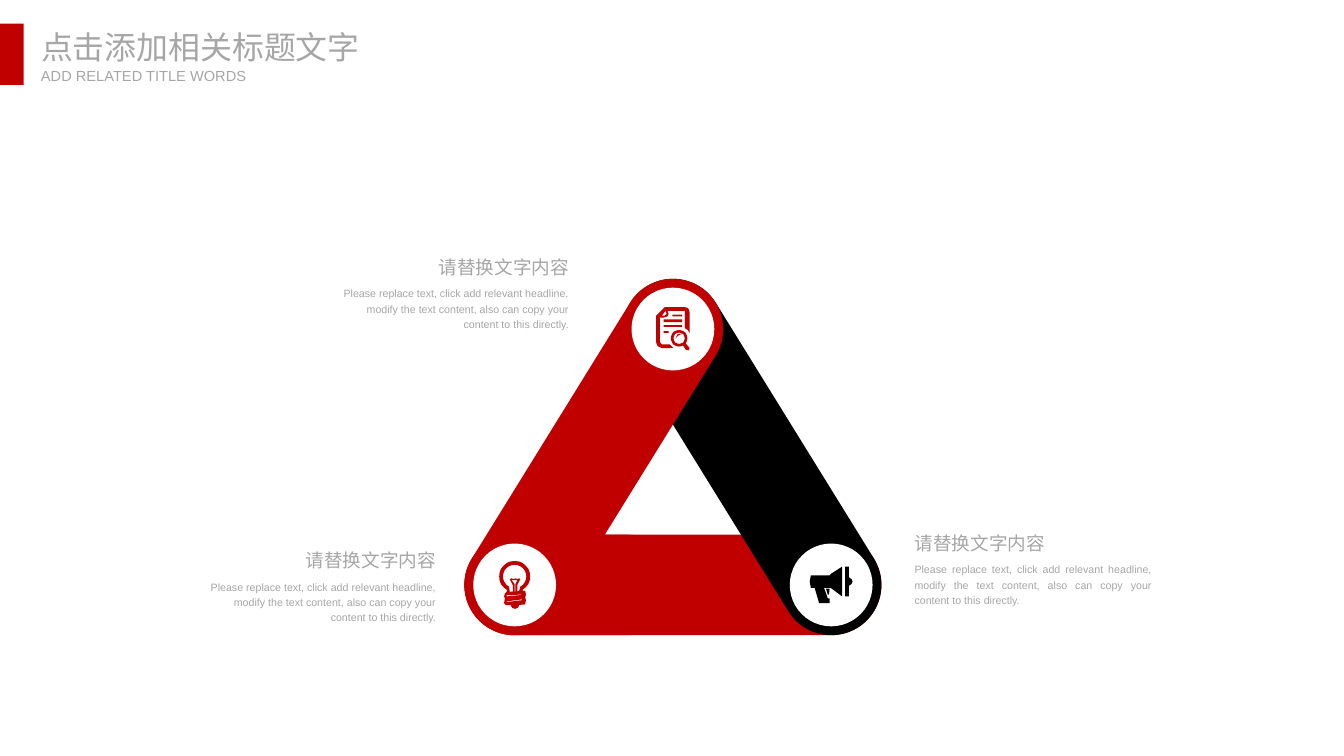
from math import atan2, cos, degrees, hypot, radians, sin

from lxml import etree
from pptx import Presentation
from pptx.dml.color import RGBColor
from pptx.enum.shapes import MSO_SHAPE
from pptx.enum.text import MSO_ANCHOR, MSO_AUTO_SIZE, PP_ALIGN
from pptx.oxml.ns import qn
from pptx.util import Cm, Pt

RECT, PILL, DISC = MSO_SHAPE.RECTANGLE, MSO_SHAPE.ROUNDED_RECTANGLE, MSO_SHAPE.OVAL
LEFT, RIGHT, EVEN = PP_ALIGN.LEFT, PP_ALIGN.RIGHT, PP_ALIGN.JUSTIFY
TOP, FIXED = MSO_ANCHOR.TOP, MSO_AUTO_SIZE.NONE

COLORS = {"red": "C00000", "black": "000000", "white": "FFFFFF", "grey": "A6A6A6"}
CJK = "Noto Sans CJK SC"
HEAD = "请替换文字内容"
BODY = ("Please replace text, click add relevant headline, modify the text "
        "content, also can copy your content to this directly.")
THICK, HOLE = 2.67, 2.2


def arc(x, y, r, start=0, end=345):
    return [(x + r * cos(radians(a)), y + r * sin(radians(a)))
            for a in range(start, end + 1, 15)]


def block(x, y, w, h):
    return [(x, y), (x + w, y), (x + w, y + h), (x, y + h)]


PAGE = (89, 117, [
    [(25, 0), (76, 0), (85, 3), (89, 13), (89, 69), (84, 61), (76, 56),
     (76, 10), (30, 10), (33, 18), (30, 25), (20, 28), (10, 28), (10, 94),
     (15, 99), (36, 99), (46, 109), (15, 109), (4, 104), (0, 94), (0, 23), (23, 0)],
    [(25, 10), (15, 23), (22, 23), (28, 18)],
    block(43, 20, 26, 5), block(20, 33, 49, 7),
    block(20, 48, 49, 5), block(20, 64, 13, 5),
    arc(61, 83, 22), arc(61, 83, 15),
    [(51, 84), (58, 76), (69, 71), (57, 72)],
    [(71, 102), (79, 97), (89, 109), (86, 115), (79, 114)],
])
BULB = (82, 127, [
    arc(41, 41, 41, 120, 420) + [
        (64, 79), (69, 79), (71, 89), (69, 97), (71, 104), (69, 114), (66, 116),
        (18, 117), (13, 112), (15, 99), (13, 94), (15, 86), (20, 81)],
    arc(41, 41, 31, 120, 420) + [
        (53, 79), (48, 81), (48, 64), (56, 48), (53, 46), (48, 48), (43, 46),
        (38, 48), (33, 46), (28, 48), (36, 64), (36, 81), (28, 81)],
    [(33, 51), (48, 51), (43, 61), (43, 81), (41, 81), (41, 61)],
    [(61, 89), (20, 91), (20, 94), (61, 90)],
    [(61, 102), (20, 107), (20, 109), (61, 104)],
    [(53, 117), (30, 117), (35, 125), (43, 127), (50, 124)],
])
HORN = (114, 97, [
    [(3, 23), (53, 23), (58, 18), (86, 0), (86, 79), (58, 58), (53, 56), (38, 56),
     (48, 84), (53, 84), (53, 97), (25, 97), (13, 56), (3, 56), (0, 40)],
    [(104, 28), (111, 33), (114, 39), (111, 46), (104, 51), (104, 79),
     (94, 79), (94, 0), (104, 0)],
    [(53, 58), (43, 58), (48, 74), (51, 74)],
])


def paint(shape, color):
    shape.shadow.inherit = False
    shape.fill.solid()
    shape.fill.fore_color.rgb = RGBColor.from_string(COLORS[color])
    shape.line.fill.background()


def add(slide, kind, x, y, w, h, color):
    shape = slide.shapes.add_shape(kind, Cm(x), Cm(y), Cm(w), Cm(h))
    paint(shape, color)
    return shape


def write(shape, text, size=8, font="Arial", align=LEFT, space=1.0, wrap=True, flush=False):
    frame = shape.text_frame
    frame.auto_size = FIXED
    frame.word_wrap = wrap
    frame.vertical_anchor = TOP
    if flush:
        frame.margin_left = frame.margin_right = 0
        frame.margin_top = frame.margin_bottom = 0
    para = frame.paragraphs[0]
    para.alignment = align
    para.line_spacing = space
    run = para.add_run()
    run.text = text
    run.font.size = Pt(size)
    run.font.color.rgb = RGBColor.from_string(COLORS["grey"])
    run.font.name = font
    etree.SubElement(run.font._element, qn("a:ea"), typeface=CJK)


def header(slide, x, y, w, h):
    add(slide, RECT, x, y, 0.63, h, "red")
    title = slide.shapes.title
    title.left, title.top = Cm(x + 1.09), Cm(y + 0.1)
    title.width, title.height = Cm(w), Cm(1.02)
    write(title, "点击添加相关标题文字", size=24, font=CJK, wrap=False, flush=True)
    sub = slide.shapes.add_textbox(Cm(x + 1.09), Cm(y + 1.14), Cm(w), Cm(0.48))
    write(sub, "ADD RELATED TITLE WORDS", size=11, wrap=False, flush=True)


def bar(slide, start, end, color):
    dx, dy = end[0] - start[0], end[1] - start[1]
    long = hypot(dx, dy) + THICK
    x, y = (start[0] + end[0]) / 2, (start[1] + end[1]) / 2
    shape = add(slide, PILL, x - long / 2, y - THICK / 2, long, THICK, color)
    shape.adjustments[0] = 0.5
    shape.rotation = degrees(atan2(dy, dx))


def icon(slide, x, y, art, color):
    w, h, parts = art
    pen = slide.shapes.build_freeform(*parts[0][0], scale=Cm(0.01))
    pen.add_line_segments(parts[0][1:])
    for part in parts[1:]:
        pen.move_to(*part[0])
        pen.add_line_segments(part[1:])
    paint(pen.convert_to_shape(Cm(x - w / 200), Cm(y - h / 200)), color)


def loop(slide, x, y, w, h):
    edge = THICK / 2
    peak = (x + w / 2, y + edge)
    west = (x + edge, y + h - edge)
    east = (x + w - edge, y + h - edge)
    bar(slide, west, east, "red")
    bar(slide, peak, east, "black")
    bar(slide, west, peak, "red")
    bar(slide, west, (west[0] + 3, west[1]), "red")
    for spot, art, color in ((peak, PAGE, "red"), (west, BULB, "red"), (east, HORN, "black")):
        add(slide, DISC, spot[0] - HOLE / 2, spot[1] - HOLE / 2, HOLE, HOLE, "white")
        icon(slide, *spot, art, color)


def note(slide, x, y, w, side, flow):
    head = slide.shapes.add_textbox(Cm(x), Cm(y), Cm(w), Cm(0.91))
    write(head, HEAD, size=14, align=side, space=1.2)
    body = slide.shapes.add_textbox(Cm(x), Cm(y + 0.89), Cm(w), Cm(1.45))
    write(body, BODY, align=flow, space=1.2)


def main():
    deck = Presentation()
    deck.slide_width, deck.slide_height = Cm(35.71), Cm(20.09)
    slide = deck.slides.add_slide(deck.slide_layouts[5])
    loop(slide, 12.34, 7.41, 11.08, 9.47)
    note(slide, 24.05, 13.89, 6.81, LEFT, EVEN)
    note(slide, 8.79, 6.55, 6.58, RIGHT, RIGHT)
    note(slide, 5.26, 14.35, 6.58, RIGHT, RIGHT)
    header(slide, 0, 0.63, 8.56, 1.63)
    deck.save("out.pptx")


if __name__ == "__main__":
    main()
